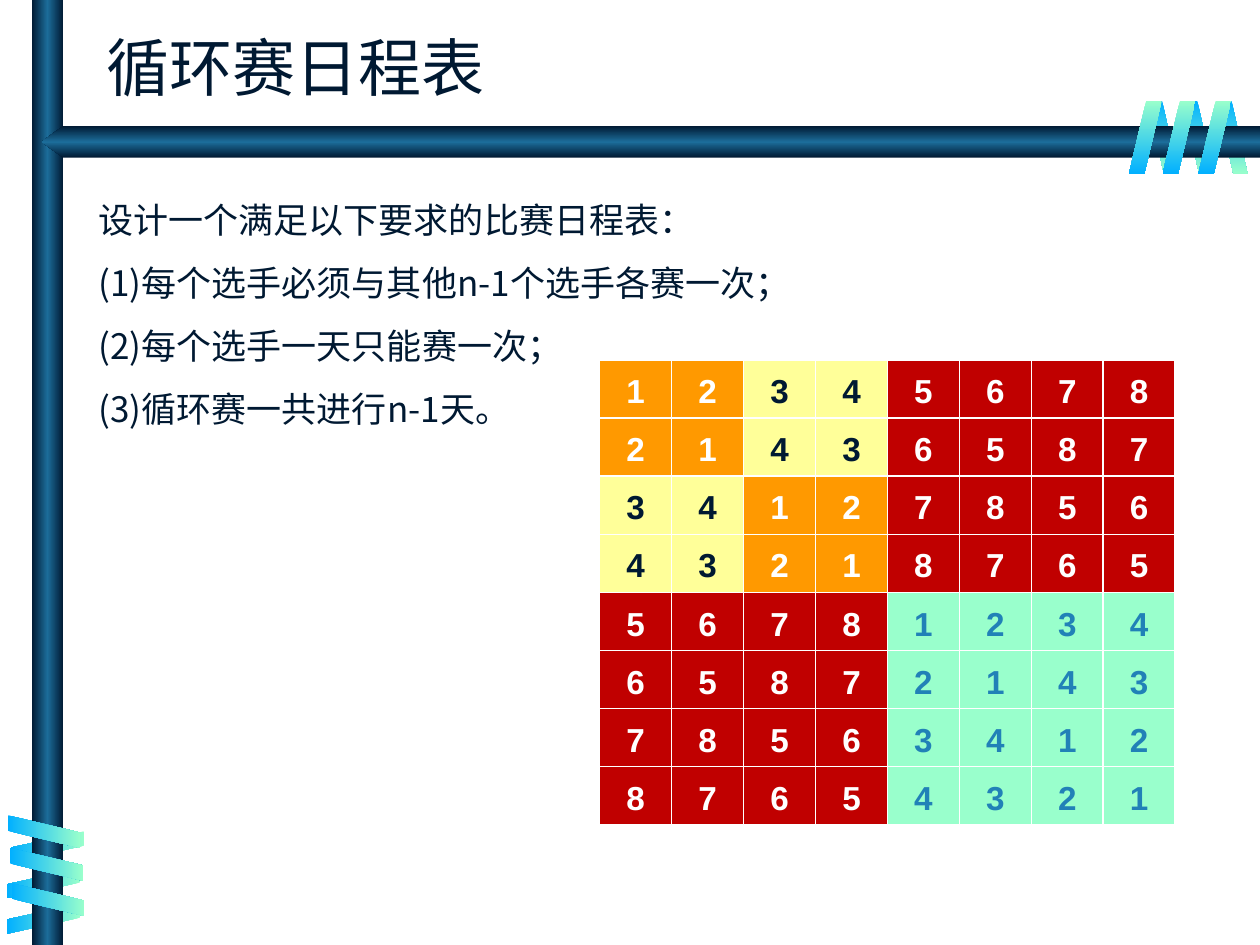
from dataclasses import dataclass

from lxml import etree
from pptx import Presentation
from pptx.dml import color
from pptx.enum import shapes, text
from pptx.oxml import ns
from pptx.util import Cm, Pt


@dataclass(frozen=True)
class Theme:
    navy: str = "001932"
    steel: str = "1C6D9A"
    sky: str = "01B0FF"
    mint: str = "99FFCC"
    orange: str = "FF9900"
    yellow: str = "FFFF99"
    red: str = "C00000"
    blue: str = "2181B7"
    white: str = "FFFFFF"
    title_size: int = 36
    body_size: int = 20
    cell_size: int = 19
    title_font: str = "Times New Roman"
    body_font: str = "Noto Sans CJK SC"
    cell_font: str = "Arial"


theme = Theme()


def write(para, words, font, size, ink=theme.navy, bold=False,
          align=text.PP_ALIGN.LEFT, spacing=1.0, before=0):
    para.alignment = align
    para.line_spacing = spacing
    para.space_before = Pt(before)
    span = para.add_run()
    span.text = words
    span.font.name = font
    span.font.size = Pt(size)
    span.font.bold = bold
    span.font.color.rgb = color.RGBColor.from_string(ink)


def add_gradient_shape(kind, bounds, stops, angle, adjust=None, turn=0, flip=False):
    shape = page.shapes.add_shape(kind, *[Cm(length) for length in bounds])
    shape.shadow.inherit = False
    shape.line.fill.background()
    shape.rotation = turn
    if adjust is not None:
        shape.adjustments[0] = adjust
    properties = shape.element.spPr
    if flip:
        properties.find(ns.qn("a:xfrm")).set("flipH", "1")
    shape.fill.gradient()
    gradient = properties.find(ns.qn("a:gradFill"))
    gradient.clear()
    gradient.set("rotWithShape", "0")
    stop_list = etree.SubElement(gradient, ns.qn("a:gsLst"))
    for index, stop_color in enumerate(stops):
        position = 100000 * index // (len(stops) - 1)
        stop = etree.SubElement(stop_list, ns.qn("a:gs"), pos=str(position))
        etree.SubElement(stop, ns.qn("a:srgbClr"), val=stop_color)
    etree.SubElement(gradient, ns.qn("a:lin"), ang=str(angle * 60000), scaled="0")


deck = Presentation()
deck.slide_width, deck.slide_height = Cm(25.4), Cm(19.05)
page = deck.slides.add_slide(deck.slide_layouts[1])

ribbon = shapes.MSO_SHAPE.PARALLELOGRAM
rising = (theme.sky, theme.mint)
falling = (theme.mint, theme.sky)
metal = (theme.navy, theme.steel, theme.navy)

for left in (24.54, 23.85, 23.14):
    add_gradient_shape(ribbon, (left, 2.03, 0.61, 1.47), rising, 90, 0.53, 180, True)
for left, top in ((0.66, 16.33), (0.58, 17.07), (0.58, 17.78)):
    add_gradient_shape(ribbon, (left, top, 0.61, 1.47), falling, 0, 0.53, 90, True)

add_gradient_shape(shapes.MSO_SHAPE.RECTANGLE, (0.64, 0, 0.64, 19.05), metal, 0)
add_gradient_shape(shapes.MSO_SHAPE.PENTAGON, (0.84, 2.54, 24.56, 0.64), metal, 90,
                   0.68, flip=True)

for left, top in ((0.56, 16.03), (0.61, 16.69), (0.64, 17.4)):
    add_gradient_shape(ribbon, (left, top, 0.66, 1.47), rising, 0, 0.53, 270)
for left in (24.16, 23.44, 22.76):
    add_gradient_shape(ribbon, (left, 2.03, 0.66, 1.47), falling, 90, 0.53)

title = page.shapes.title
title.left, title.top, title.width, title.height = Cm(1.9), Cm(0.43), Cm(21.59), Cm(1.8)
title.text_frame.auto_size = text.MSO_AUTO_SIZE.NONE
title.text_frame.vertical_anchor = text.MSO_ANCHOR.BOTTOM
write(title.text_frame.paragraphs[0], "循环赛日程表", theme.title_font, theme.title_size)

body = page.placeholders[1]
body.left, body.top, body.width, body.height = Cm(1.73), Cm(3.45), Cm(23.27), Cm(5.18)
body.text_frame.auto_size = text.MSO_AUTO_SIZE.NONE
requirements = (
    "设计一个满足以下要求的比赛日程表：",
    "(1)每个选手必须与其他n-1个选手各赛一次；",
    "(2)每个选手一天只能赛一次；",
    "(3)循环赛一共进行n-1天。",
)
for index, words in enumerate(requirements):
    para = body.text_frame.add_paragraph() if index else body.text_frame.paragraphs[0]
    write(para, words, theme.body_font, theme.body_size, spacing=1.5)
for properties in body.element.iter(ns.qn("a:pPr")):
    properties.set("marL", "0")
    properties.set("indent", "0")
    etree.SubElement(properties, ns.qn("a:buNone"))

players = 8
half = players // 2
frame = page.shapes.add_table(players, players, Cm(12.09), Cm(7.26),
                              Cm(1.45 * players), Cm(1.17 * players))
schedule = frame.table
schedule.first_row = schedule.horz_banding = False
for row in range(players):
    schedule.rows[row].height = Cm(1.17)
    schedule.columns[row].width = Cm(1.45)
    for column in range(players):
        offset = row ^ column
        if offset >= half:
            fill, ink = theme.red, theme.white
        elif row >= half:
            fill, ink = theme.mint, theme.blue
        elif offset >= half // 2:
            fill, ink = theme.yellow, theme.navy
        else:
            fill, ink = theme.orange, theme.white
        cell = schedule.cell(row, column)
        cell.fill.solid()
        cell.fill.fore_color.rgb = color.RGBColor.from_string(fill)
        write(cell.text_frame.paragraphs[0], str(offset + 1), theme.cell_font,
              theme.cell_size, ink, True, text.PP_ALIGN.CENTER, 1.2, 1.7)

for properties in frame.element.iter(ns.qn("a:tcPr")):
    for index, side in enumerate(("lnL", "lnR", "lnT", "lnB")):
        border = etree.Element(ns.qn(f"a:{side}"), w=str(Pt(1)))
        solid = etree.SubElement(border, ns.qn("a:solidFill"))
        etree.SubElement(solid, ns.qn("a:srgbClr"), val=theme.white)
        properties.insert(index, border)

for latin in page.element.iter(ns.qn("a:latin")):
    latin.addnext(etree.Element(ns.qn("a:ea"), typeface=theme.body_font))

deck.save("out.pptx")
